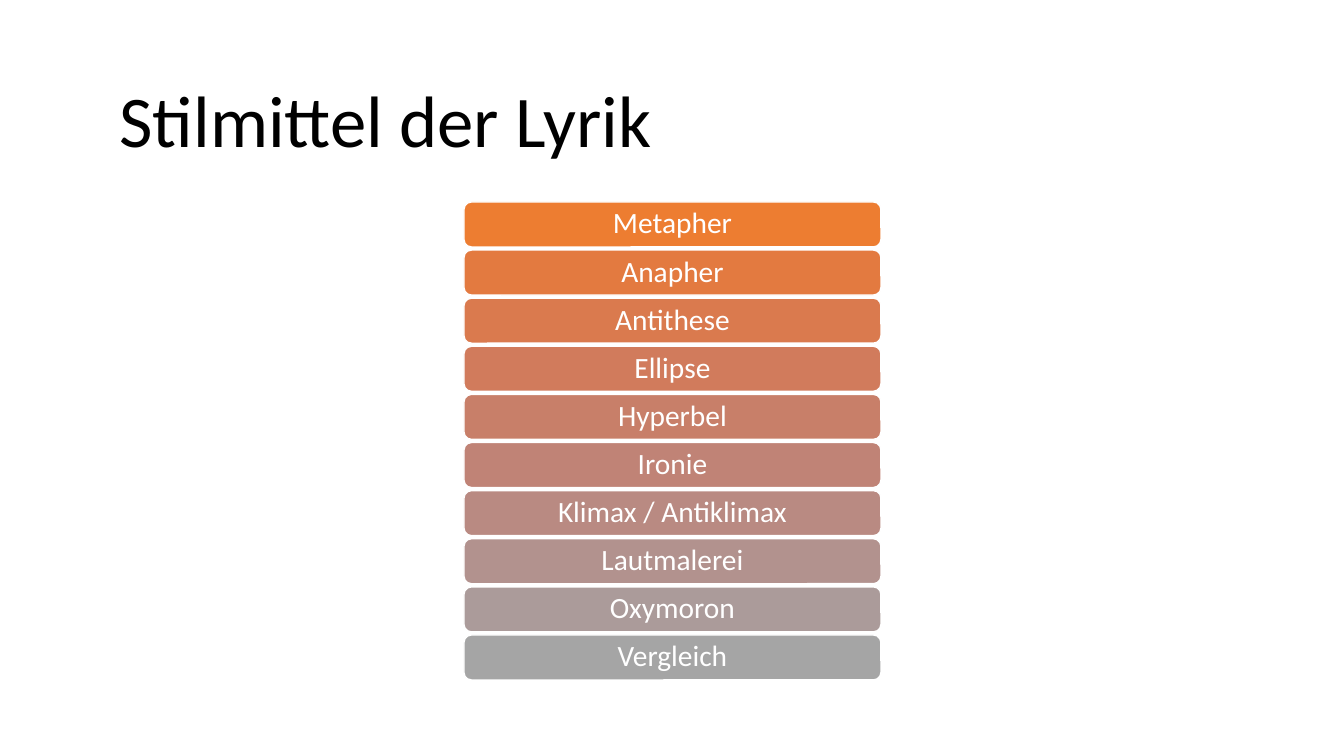
import pptx
import pptx.util
import pptx.dml.color
import pptx.enum.shapes
import pptx.enum.text

RGB = pptx.dml.color.RGBColor
ALIGN = pptx.enum.text.PP_ALIGN

BLACK = RGB(0x00, 0x00, 0x00)
WHITE = RGB(0xFF, 0xFF, 0xFF)

TITLE = " Stilmittel der Lyrik"
DEVICES = [
    ("Metapher", RGB(0xED, 0x7D, 0x31)),
    ("Anapher", RGB(0xE3, 0x7A, 0x40)),
    ("Antithese", RGB(0xDA, 0x7A, 0x4E)),
    ("Ellipse", RGB(0xD1, 0x7B, 0x5C)),
    ("Hyperbel", RGB(0xC8, 0x7F, 0x69)),
    ("Ironie", RGB(0xC0, 0x83, 0x76)),
    ("Klimax / Antiklimax", RGB(0xB9, 0x8A, 0x82)),
    ("Lautmalerei", RGB(0xB2, 0x92, 0x8E)),
    ("Oxymoron", RGB(0xAB, 0x9B, 0x9A)),
    ("Vergleich", RGB(0xA5, 0xA5, 0xA5)),
]

FONT = "Calibri"
SLIDE = (1344, 756)
TITLE_BOX = (93, 61, 1159, 125)
BAR_LEFT, BAR_WIDTH, BAR_HEIGHT = 464, 417, 45
FIRST_TOP, LAST_TOP = 202, 635
SCALE = 12192000 / SLIDE[0]


def px(*sizes):
    """Turn px lengths into EMU."""
    return [pptx.util.Emu(round(size * SCALE)) for size in sizes]


def write(shape, text, size, color, align=ALIGN.LEFT, inset=(10, 5)):
    frame = shape.text_frame
    frame.word_wrap = True
    frame.vertical_anchor = pptx.enum.text.MSO_ANCHOR.MIDDLE
    side, edge = px(*inset)
    frame.margin_left = frame.margin_right = side
    frame.margin_top = frame.margin_bottom = edge
    para = frame.paragraphs[0]
    para.alignment = align
    para.line_spacing = 0.9
    run = para.add_run()
    run.text = text
    run.font.name = FONT
    run.font.size = pptx.util.Pt(size)
    run.font.color.rgb = color


def add_bar(slide, top, text, fill):
    bar = slide.shapes.add_shape(
        pptx.enum.shapes.MSO_SHAPE.ROUNDED_RECTANGLE,
        *px(BAR_LEFT, top, BAR_WIDTH, BAR_HEIGHT))
    bar.shadow.inherit = False
    bar.fill.solid()
    bar.fill.fore_color.rgb = fill
    bar.line.color.rgb = WHITE
    bar.line.width = pptx.util.Pt(1)
    write(bar, text, 21, WHITE, align=ALIGN.CENTER, inset=(9, 4))


def main():
    deck = pptx.Presentation()
    deck.slide_width, deck.slide_height = px(*SLIDE)
    slide = deck.slides.add_slide(deck.slide_layouts[6])
    write(slide.shapes.add_textbox(*px(*TITLE_BOX)), TITLE, 52, BLACK)
    step = (LAST_TOP - FIRST_TOP) / (len(DEVICES) - 1)
    for row, (name, fill) in enumerate(DEVICES):
        add_bar(slide, FIRST_TOP + row * step, name, fill)
    deck.save("out.pptx")


if __name__ == "__main__":
    main()
